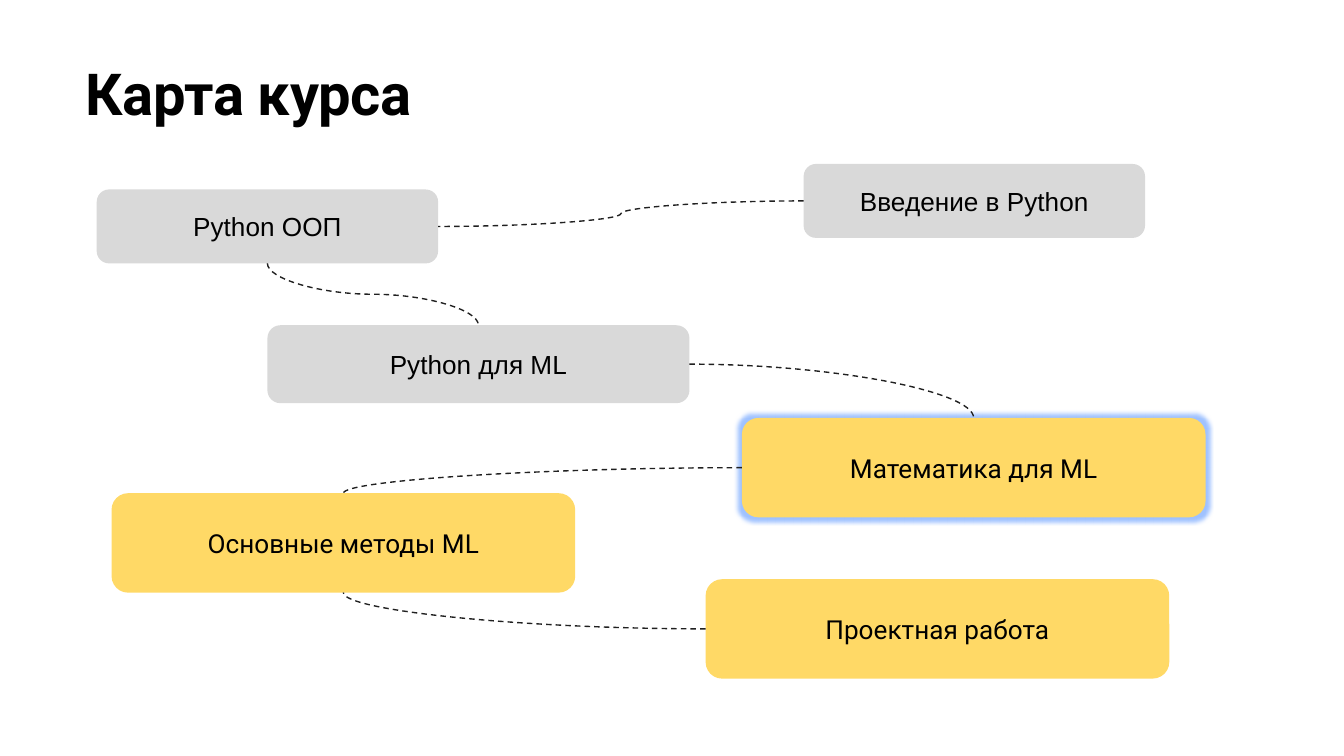
from lxml import etree
from pptx import Presentation
from pptx import util as u
from pptx.dml.color import RGBColor
from pptx.enum import dml, shapes, text
from pptx.oxml.ns import qn

# The slide is a grid of square cells, 100 columns wide
CELL = u.Inches(0.1)
COLS, ROWS = 100, 56.25
TOP, LEFT, BOTTOM, RIGHT = range(4)

BLACK = RGBColor(0x00, 0x00, 0x00)
GREY = RGBColor(0xD9, 0xD9, 0xD9)
YELLOW = RGBColor(0xFF, 0xD9, 0x66)
LINE = RGBColor(0x20, 0x20, 0x20)
GLOW = RGBColor(0x9F, 0xC2, 0xFF)

# name: (label, column, row, columns, rows, fill, font), from the map's corner
STAGES = {
    "intro": ("Введение в Python", 52.6, 0, 25.4, 5.5, GREY, "Arial"),
    "oop": ("Python ООП", 0, 1.9, 25.4, 5.5, GREY, "Arial"),
    "python_ml": ("Python для ML", 12.7, 12, 31.4, 5.8, GREY, "Arial"),
    "maths": ("Математика для ML", 48, 18.9, 34.5, 7.4, YELLOW, "Roboto"),
    "methods": ("Основные методы ML", 1.1, 24.5, 34.5, 7.4, YELLOW, "Roboto"),
    "project": ("Проектная работа", 45.3, 30.9, 34.5, 7.4, YELLOW, "Roboto"),
}
CURRENT = "maths"

# (stage, side, stage, side, preset curve)
LINKS = [
    ("intro", LEFT, "oop", RIGHT, "curvedConnector3"),
    ("oop", BOTTOM, "python_ml", TOP, "curvedConnector3"),
    ("python_ml", RIGHT, "maths", TOP, "curvedConnector2"),
    ("maths", LEFT, "methods", TOP, "curvedConnector2"),
    ("project", LEFT, "methods", BOTTOM, "curvedConnector2"),
]


def grid(*cells):
    return [int(c * CELL) for c in cells]


def write(tf, content, size=14, font="Arial", bold=False, align=text.PP_ALIGN.CENTER):
    p = tf.paragraphs[0]
    p.alignment = align
    r = p.add_run()
    r.text = content
    r.font.size, r.font.name, r.font.bold = u.Pt(size), font, bold
    r.font.color.rgb = BLACK
    return r


def add_glow(sp, color, radius):
    effects = sp._element.spPr.find(qn("a:effectLst"))
    glow = etree.SubElement(effects, qn("a:glow"), rad=str(int(radius)))
    etree.SubElement(glow, qn("a:srgbClr"), val=str(color))


def add_stage(s, label, x, y, w, h, fill, font):
    sp = s.shapes.add_shape(shapes.MSO_SHAPE.ROUNDED_RECTANGLE, *grid(x, y, w, h))
    sp.shadow.inherit = False
    sp.fill.solid()
    sp.fill.fore_color.rgb = fill
    sp.line.fill.background()
    sp.text_frame.word_wrap = True
    sp.text_frame.vertical_anchor = text.MSO_ANCHOR.MIDDLE
    write(sp.text_frame, label, font=font)
    return sp


def add_link(s, start, start_side, end, end_side, preset):
    c = s.shapes.add_connector(shapes.MSO_CONNECTOR.CURVE, 0, 0, 0, 0)
    c.begin_connect(start, start_side)
    c.end_connect(end, end_side)
    c.line.color.rgb = LINE
    c.line.width = u.Pt(0.75)
    c.line.dash_style = dml.MSO_LINE.DASH
    spPr = c._element.spPr
    spPr.find(qn("a:prstGeom")).set("prst", preset)
    etree.SubElement(spPr, qn("a:effectLst"))
    # A curve that leaves downwards is a sideways one, turned about its centre
    if start_side == BOTTOM:
        w, h = c.width, c.height
        c.left, c.top = c.left + (w - h) // 2, c.top + (h - w) // 2
        c.width, c.height = h, w
        xfrm = spPr.find(qn("a:xfrm"))
        xfrm.set("rot", str(270 * 60000))
        xfrm.set("flipH", "1")


def add_title(s, x, y, w, h):
    tf = s.shapes.add_textbox(*grid(x, y, w, h)).text_frame
    tf.margin_left = tf.margin_top = tf.margin_right = tf.margin_bottom = 0
    tf.word_wrap = True
    r = write(tf, "Карта курса", size=31, font="Roboto", bold=True,
              align=text.PP_ALIGN.LEFT)
    r.font._element.set("spc", "-20")


def add_course_map(s, x, y):
    # Stages
    stages = {}
    for name, (label, dx, dy, *rest) in STAGES.items():
        stages[name] = add_stage(s, label, x + dx, y + dy, *rest)
    add_glow(stages[CURRENT], GLOW, 0.6 * CELL)
    # Dashed route between stages
    for start, start_side, end, end_side, preset in LINKS:
        add_link(s, stages[start], start_side, stages[end], end_side, preset)


def main():
    prs = Presentation()
    prs.slide_width, prs.slide_height = grid(COLS, ROWS)
    s = prs.slides.add_slide(prs.slide_layouts[6])
    add_title(s, 6.4, 4.3, 68, 5.4)
    add_course_map(s, 7.2, 12.2)
    prs.save("out.pptx")


if __name__ == "__main__":
    main()
